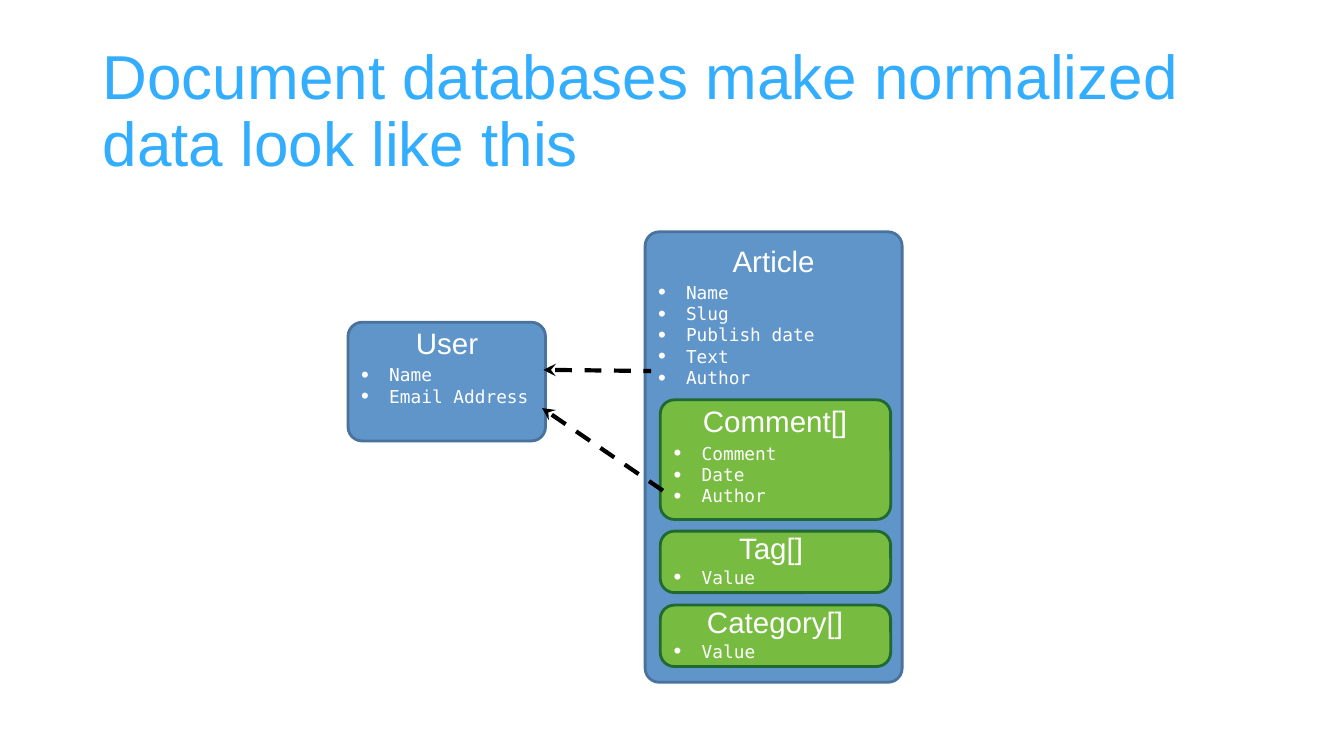
"""Build a slide showing how a document database arranges normalized data."""

from dataclasses import dataclass

import pptx
import pptx.dml.color
import pptx.enum.dml
import pptx.enum.shapes
import pptx.enum.text
import pptx.oxml
import pptx.oxml.ns
import pptx.shapes.autoshape
import pptx.shapes.shapetree
import pptx.slide
import pptx.text.text
import pptx.util

WHITE = pptx.dml.color.RGBColor(0xFF, 0xFF, 0xFF)
BLACK = pptx.dml.color.RGBColor(0x00, 0x00, 0x00)
TITLE_BLUE = pptx.dml.color.RGBColor(0x33, 0xAD, 0xFE)
BLUE = pptx.dml.color.RGBColor(0x60, 0x95, 0xC9)
BLUE_EDGE = pptx.dml.color.RGBColor(0x49, 0x72, 0x9C)
GREEN = pptx.dml.color.RGBColor(0x77, 0xBB, 0x41)
GREEN_EDGE = pptx.dml.color.RGBColor(0x20, 0x69, 0x31)

HEADING_FONT = "Arial"
FIELD_FONT = "DejaVu Sans Mono"
CORNER_RADIUS = 10.1
HEADING_INSET = 2.2
NAMESPACE = pptx.oxml.ns.nsdecls("a")
BULLET_XML = (
    f'<a:buClr {NAMESPACE}><a:srgbClr val="FFFFFF"/></a:buClr>',
    f'<a:buSzPct {NAMESPACE} val="125000"/>',
    f'<a:buFont {NAMESPACE} typeface="Arial"/>',
    f'<a:buChar {NAMESPACE} char="•"/>',
)


@dataclass(frozen=True)
class Box:
    left: float
    top: float
    width: float
    height: float

    def lengths(self) -> tuple[pptx.util.Length, ...]:
        sides = (self.left, self.top, self.width, self.height)
        return tuple(pptx.util.Pt(side) for side in sides)


@dataclass(frozen=True)
class Entity:
    name: str
    fields: tuple[str, ...]
    card: Box
    heading: Box
    listing: Box
    fill: pptx.dml.color.RGBColor = GREEN
    edge: pptx.dml.color.RGBColor = GREEN_EDGE


@dataclass(frozen=True)
class Reference:
    head: tuple[float, float]
    tail: tuple[float, float]


ENTITIES = (
    Entity("User", ("Name", "Email Address"),
           Box(248.6, 230.2, 141.1, 84.8), Box(251.3, 223.2, 136.1, 43.2),
           Box(251, 259.9, 136.1, 54), BLUE, BLUE_EDGE),
    Entity("Article", ("Name", "Slug", "Publish date", "Text", "Author"),
           Box(460.8, 165.6, 183.6, 321.8), Box(464.4, 169.9, 176.4, 33.1),
           Box(463, 201.1, 136.1, 74.2), BLUE, BLUE_EDGE),
    Entity("Comment[]", ("Comment", "Date", "Author"),
           Box(471.6, 285.6, 164.6, 85.5), Box(474.5, 286.6, 158.4, 28.1),
           Box(474.2, 316.1, 158.4, 43.2)),
    Entity("Tag[]", ("Value",),
           Box(471.6, 379.4, 164.6, 43.9), Box(474.5, 377.3, 152.6, 27.4),
           Box(474.2, 404.6, 158.4, 15.1)),
    Entity("Category[]", ("Value",),
           Box(471.6, 432.2, 164.6, 43.9), Box(474.5, 430.6, 158.4, 27.4),
           Box(474.2, 457.5, 151.9, 15.1)),
)
REFERENCES = (
    Reference((387.2, 291.5), (474.3, 351)),
    Reference((388.1, 264.2), (465.1, 265)),
)


def format_runs(paragraph: pptx.text.text._Paragraph, font: str, size: float,
                color: pptx.dml.color.RGBColor) -> None:
    for run in paragraph.runs:
        run.font.name = font
        run.font.size = pptx.util.Pt(size)
        run.font.color.rgb = color


def add_title(slide: pptx.slide.Slide) -> None:
    title = slide.shapes.title
    title.left, title.top, title.width, title.height = Box(66.2, 28.6, 828, 104.4).lengths()
    title.text_frame.text = "Document databases make normalized data look like this"
    title.text_frame.vertical_anchor = pptx.enum.text.MSO_ANCHOR.MIDDLE
    paragraph = title.text_frame.paragraphs[0]
    paragraph.alignment = pptx.enum.text.PP_ALIGN.LEFT
    paragraph.line_spacing = 0.9
    format_runs(paragraph, HEADING_FONT, 44.3, TITLE_BLUE)


def add_text(shapes: pptx.shapes.shapetree.GroupShapes, box: Box, text: str,
             inset: float) -> pptx.text.text.TextFrame:
    text_frame = shapes.add_textbox(*box.lengths()).text_frame
    text_frame.word_wrap = True
    text_frame.margin_left = text_frame.margin_right = pptx.util.Pt(inset)
    text_frame.margin_top = text_frame.margin_bottom = pptx.util.Pt(inset)
    text_frame.text = text
    return text_frame


def add_entity(slide: pptx.slide.Slide, entity: Entity) -> None:
    group = slide.shapes.add_group_shape()
    card = group.shapes.add_shape(
        pptx.enum.shapes.MSO_SHAPE.ROUNDED_RECTANGLE, *entity.card.lengths())
    card.adjustments[0] = CORNER_RADIUS / min(entity.card.width, entity.card.height)
    card.shadow.inherit = False
    card.fill.solid()
    card.fill.fore_color.rgb = entity.fill
    card.line.color.rgb = entity.edge
    card.line.width = pptx.util.Pt(2)

    heading = add_text(group.shapes, entity.heading, entity.name, HEADING_INSET)
    heading.vertical_anchor = pptx.enum.text.MSO_ANCHOR.MIDDLE
    heading.paragraphs[0].alignment = pptx.enum.text.PP_ALIGN.CENTER
    format_runs(heading.paragraphs[0], HEADING_FONT, 21.1, WHITE)

    listing = add_text(group.shapes, entity.listing, "\n".join(entity.fields), 0)
    for paragraph in listing.paragraphs:
        properties = paragraph._p.get_or_add_pPr()
        properties.set("marL", str(pptx.util.Pt(27)))
        properties.set("indent", str(pptx.util.Pt(-20)))
        for bullet_xml in BULLET_XML:
            properties.append(pptx.oxml.parse_xml(bullet_xml))
        format_runs(paragraph, FIELD_FONT, 12.7, WHITE)


def add_reference(slide: pptx.slide.Slide, reference: Reference) -> None:
    ends = (pptx.util.Pt(value) for value in reference.head + reference.tail)
    connector = slide.shapes.add_connector(
        pptx.enum.shapes.MSO_CONNECTOR.STRAIGHT, *ends)
    connector.line.color.rgb = BLACK
    connector.line.width = pptx.util.Pt(3)
    connector.line.dash_style = pptx.enum.dml.MSO_LINE.DASH
    connector.line._get_or_add_ln().append(
        pptx.oxml.parse_xml(f'<a:headEnd {NAMESPACE} type="stealth"/>'))
    connector._element.spPr.append(
        pptx.oxml.parse_xml(f"<a:effectLst {NAMESPACE}/>"))


def main() -> None:
    presentation = pptx.Presentation()
    presentation.slide_width = pptx.util.Pt(960)
    presentation.slide_height = pptx.util.Pt(540)
    slide = presentation.slides.add_slide(presentation.slide_layouts[5])
    add_title(slide)
    for entity in ENTITIES:
        add_entity(slide, entity)
    for reference in REFERENCES:
        add_reference(slide, reference)
    presentation.save("out.pptx")


if __name__ == "__main__":
    main()
